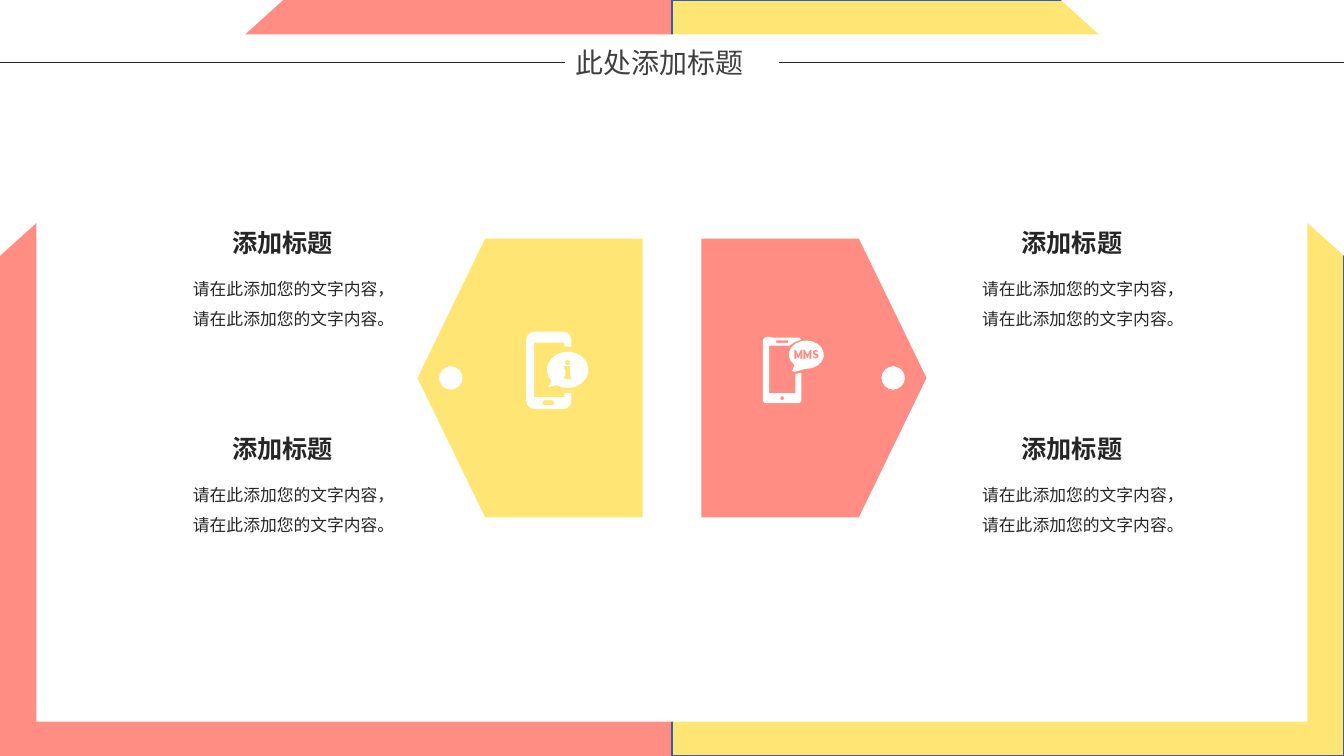
from math import cos, radians, sin

from lxml import etree
from pptx import Presentation
from pptx.dml.color import RGBColor
from pptx.enum.shapes import MSO_CONNECTOR, MSO_SHAPE
from pptx.enum.text import MSO_AUTO_SIZE, PP_ALIGN
from pptx.oxml.ns import qn
from pptx.util import Pt

CORAL = RGBColor(0xFF, 0x8D, 0x83)
YELLOW = RGBColor(0xFF, 0xE6, 0x74)
WHITE = RGBColor(0xFF, 0xFF, 0xFF)
BLUE = RGBColor(0x35, 0x5C, 0xAD)
DARK = RGBColor(0x26, 0x26, 0x26)
GRAY = RGBColor(0x40, 0x40, 0x40)
FONT = "Noto Sans CJK SC"
RECT, TRIANGLE = MSO_SHAPE.RECTANGLE, MSO_SHAPE.RIGHT_TRIANGLE
STRAIGHT = MSO_CONNECTOR.STRAIGHT
GROW = MSO_AUTO_SIZE.SHAPE_TO_FIT_TEXT
LEFT, JUSTIFY = PP_ALIGN.LEFT, PP_ALIGN.JUSTIFY
W, H = 960, 540
MID_X, MID_Y = W / 2, H / 2

prs = Presentation()
prs.slide_width, prs.slide_height = Pt(W), Pt(H)
s = prs.slides.add_slide(prs.slide_layouts[6])


def arc(cx, cy, rx, ry, steps, start=0, sweep=360):
    """Points along an ellipse, clockwise from the start angle."""
    count = steps if sweep == 360 else steps + 1
    angles = [radians(start + sweep * i / steps) for i in range(count)]
    return [(cx + rx * cos(a), cy + ry * sin(a)) for a in angles]


def add_text(text, x, y, w, h, size, color, bold=False, align=LEFT, spacing=None):
    tf = s.shapes.add_textbox(Pt(x), Pt(y), Pt(w), Pt(h)).text_frame
    tf.word_wrap = True
    tf.auto_size = GROW
    p = tf.paragraphs[0]
    p.text = text
    p.alignment = align
    p.line_spacing = spacing
    p.font.size, p.font.bold = Pt(size), bold
    p.font.color.rgb = color
    p.font.name = FONT
    props = p._p.pPr.find(qn("a:defRPr"))
    etree.SubElement(props, qn("a:ea")).set("typeface", FONT)


# Two-colour frame with cut corners
s.background.fill.solid()
s.background.fill.fore_color.rgb = CORAL
for kind, x, y, w, h, fill, line, flips in [
    (RECT, MID_X, 0, MID_X, H, YELLOW, BLUE, []),
    (RECT, 26, 24.5, 908, 491, WHITE, None, []),
    (TRIANGLE, 0, 0, 202.2, 182.7, WHITE, None, ["flipV"]),
    (TRIANGLE, 757.8, 0, 202.2, 182.7, WHITE, None, ["flipH", "flipV"]),
]:
    sp = s.shapes.add_shape(kind, Pt(x), Pt(y), Pt(w), Pt(h))
    sp.shadow.inherit = False
    sp.fill.solid()
    sp.fill.fore_color.rgb = fill
    if line:
        sp.line.color.rgb = line
        sp.line.width = Pt(1)
    else:
        sp.line.fill.background()
    for flip in flips:
        sp._element.spPr.xfrm.set(flip, "1")

# Arrow tags, mirrored about the centre, each with a round hole
tags = []
for side, fill in [(1, CORAL), (-1, YELLOW)]:
    base, shoulder, tip, hole = [MID_X + side * d for d in (21, 133.5, 181.8, 158)]
    top, bottom = MID_Y - 99.5, MID_Y + 99.5
    body = [(base, top), (shoulder, top), (tip, MID_Y), (shoulder, bottom), (base, bottom)]
    tags.append((fill, [body, arc(hole, MID_Y, 8.4, 8.4, 16)]))

# Phone with a message bubble
letter_m = [
    (567.4, 256.3), (567.4, 249.8), (568.3, 249.8), (570.2, 253.4), (572.2, 249.8),
    (573.1, 249.8), (573.1, 256.3), (571.7, 256.3), (571.7, 252.7), (570.7, 255.6),
    (569.7, 255.6), (568.8, 252.7), (568.8, 256.3),
]
letter_s = [
    (584.3, 250.6), (583.9, 251.5), (582.5, 251.1), (581.8, 251.8), (584.6, 253.3),
    (584.6, 255.2), (582.5, 256.3), (580.3, 255), (581.2, 254.2), (582.5, 255.1),
    (583.3, 254.6), (580.5, 252.6), (580.7, 250.8), (582.5, 249.9),
]
message_phone = [
    [(545, 242.6), (546.3, 241.2), (548.5, 240.5), (552, 241.2), (571, 241.2),
     (572.4, 242.6), (567.5, 244.5), (563.8, 247), (549.4, 247), (549.4, 280.8),
     (568.1, 280.8), (568.1, 267.1), (572.4, 266.4), (572.4, 286.6), (571, 288),
     (546.3, 288), (545, 286.6)],
    [(554.4, 243.2), (563, 243.2), (563, 244.9), (554.4, 244.9)],
    arc(558.7, 284.4, 1.4, 1.4, 8),
    arc(576, 253.4, 12.5, 10.1, 16, 133, 317) + [(575.3, 263.5), (567.4, 265.7), (565.9, 265)],
    letter_m,
    [(x + 6.5, y) for x, y in letter_m],
    letter_s,
]

# Phone with an information bubble
info_phone = [
    [(408.2, 247.7), (403.2, 247.7), (403.2, 244.8), (381.6, 244.8), (381.6, 283.7),
     (403.2, 283.7), (403.2, 280.8), (408.2, 280.8)]
    + arc(402.2, 286.3, 6, 6, 3, 0, 90) + arc(381.9, 286.3, 6, 6, 3, 90, 90)
    + arc(381.9, 242.9, 6, 6, 3, 180, 90) + arc(402.2, 242.9, 6, 6, 3, 270, 90),
    arc(389.2, 287.7, 1.8, 1.8, 4, 90, 180) + arc(394.2, 287.7, 1.8, 1.8, 4, 270, 180),
    arc(405.5, 264.2, 14.8, 13, 18, 143, 340) + [(391.7, 276.5), (393.8, 272.9)],
    arc(405.4, 259, 1.9, 1.9, 8),
    [(403.2, 261.4), (407.2, 261.4), (407.2, 268.6), (407.8, 268.6), (407.8, 270.7),
     (403, 270.7), (403, 268.6), (403.9, 268.6), (403.9, 264), (403.2, 264)],
]

# Tags and icons as outlines with holes
for fill, contours in tags + [(WHITE, message_phone), (WHITE, info_phone)]:
    fb = None
    for contour in contours:
        pts = [(Pt(x), Pt(y)) for x, y in contour]
        if fb is None:
            fb = s.shapes.build_freeform(*pts[0])
        else:
            fb.move_to(*pts[0])
        fb.add_line_segments(pts[1:], close=True)
    sp = fb.convert_to_shape()
    sp.shadow.inherit = False
    sp.fill.solid()
    sp.fill.fore_color.rgb = fill
    sp.line.fill.background()

# Four captions
for x in (694.5, 130.7):
    for y in (159.1, 306.3):
        add_text("添加标题", x + 28, y, 94.3, 29, 18, DARK, bold=True)
        add_text("请在此添加您的文字内容，请在此添加您的文字内容。",
                 x, y + 29.2, 150.5, 48, 12, DARK, spacing=1.5)

# Title between two rules
add_text("此处添加标题", 403.8, 28.8, 152.6, 31.5, 20, GRAY, align=JUSTIFY)
for x1, x2 in [(0, 403.6), (556.5, W)]:
    rule = s.shapes.add_connector(STRAIGHT, Pt(x1), Pt(44.6), Pt(x2), Pt(44.6))
    rule.line.color.rgb = DARK
    rule.line.width = Pt(0.5)
    etree.SubElement(rule._element.spPr, qn("a:effectLst"))

prs.save("out.pptx")
